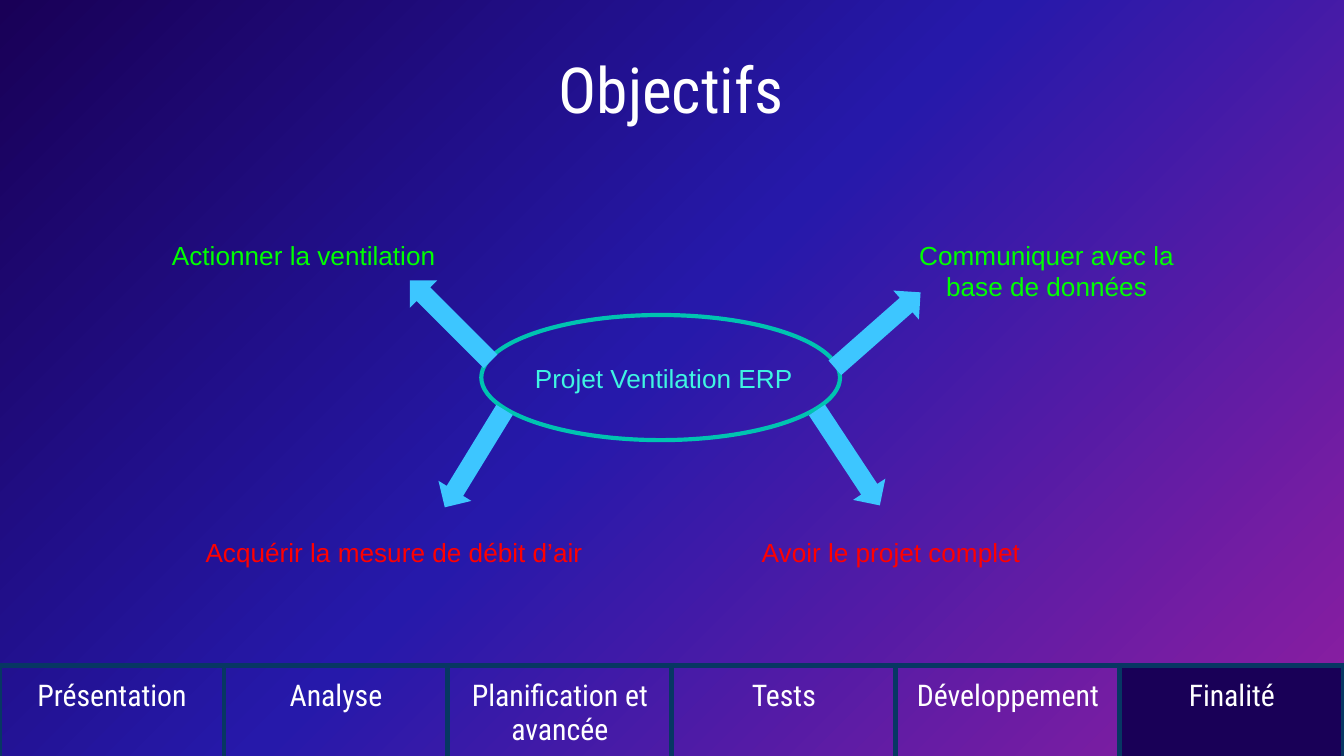
from copy import deepcopy

from lxml.etree import SubElement
from pptx import Presentation
from pptx.dml.color import RGBColor
from pptx.enum.shapes import MSO_SHAPE
from pptx.enum.text import MSO_ANCHOR, PP_ALIGN
from pptx.oxml.ns import qn
from pptx.util import Emu, Pt

PX = 5715
WIDE, HIGH = 1600, 900
PAD = 16
HEAD, BODY = "Roboto Condensed", "Arial"

NIGHT = RGBColor(0x19, 0x00, 0x57)
BLUE = RGBColor(0x26, 0x19, 0xAA)
PLUM = RGBColor(0x8F, 0x1E, 0xA0)
NAVY = RGBColor(0x07, 0x37, 0x63)
TEAL = RGBColor(0x00, 0xC3, 0xB1)
AQUA = RGBColor(0x3F, 0xF5, 0xE1)
SKY = RGBColor(0x3D, 0xC6, 0xFF)
GREEN = RGBColor(0x00, 0xFF, 0x00)
RED = RGBColor(0xFF, 0x00, 0x00)
WHITE = RGBColor(0xFF, 0xFF, 0xFF)

STEPS = ["Présentation", "Analyse", "Planification et avancée", "Tests",
         "Développement", "Finalité"]
GOALS = [
    ("Actionner la ventilation", 0, 0, 358, 70, GREEN, PP_ALIGN.LEFT),
    ("Communiquer avec la base de données", 878, 0, 358, 107, GREEN, PP_ALIGN.CENTER),
    ("Acquérir la mesure de débit d’air", 40, 353, 494, 70, RED, PP_ALIGN.LEFT),
    ("Avoir le projet complet", 702, 353, 358, 70, RED, PP_ALIGN.LEFT),
    ("Projet Ventilation ERP", 432, 146, 358, 70, AQUA, PP_ALIGN.LEFT),
]
ARROWS = [(324, 45, 315), (833, 56, 48.6), (353, 209, 211.5), (798, 208, 146.6)]


def px(*nums):
    return [Emu(num * PX) for num in nums]


def write(frame, text, size, face, color, align):
    frame.word_wrap = True
    frame.text = text
    frame.margin_left = frame.margin_right = Emu(PAD * PX)
    frame.margin_top = frame.margin_bottom = Emu(PAD * PX)
    style(frame.paragraphs[0], size, face, color, align)


def style(para, size, face, color, align):
    para.alignment = align
    font = para.runs[0].font
    font.size, font.name = Pt(size), face
    font.color.rgb = color


def paint(slide):
    fill = slide.background.fill
    fill.gradient()
    stops = next(slide.element.iter(qn("a:gsLst")))
    stops.append(deepcopy(stops[0]))
    tones = [(0, NIGHT), (0.48, BLUE), (1, PLUM)]
    for stop, (place, color) in zip(fill.gradient_stops, tones):
        stop.position = place
        stop.color.rgb = color
    fill.gradient_angle = 315


def add_title(slide, left, top, wide, high):
    title = slide.shapes.title
    title.left, title.top, title.width, title.height = px(left, top, wide, high)
    write(title.text_frame, "Objectifs", 34, HEAD, WHITE, PP_ALIGN.CENTER)
    title.text_frame.vertical_anchor = MSO_ANCHOR.TOP


def add_goals(slide, left, top):
    oval = slide.shapes.add_shape(MSO_SHAPE.OVAL, *px(left + 384, top + 106, 427, 149))
    oval.shadow.inherit = False
    oval.fill.background()
    oval.line.color.rgb = TEAL
    oval.line.width = Pt(2.25)
    for text, x, y, wide, high, color, align in GOALS:
        box = slide.shapes.add_textbox(*px(left + x, top + y, wide, high))
        write(box.text_frame, text, 14, BODY, color, align)
    for x, y, turn in ARROWS:
        arrow = slide.shapes.add_shape(MSO_SHAPE.UP_ARROW, *px(left + x, top + y, 46, 136))
        arrow.rotation = turn
        arrow.shadow.inherit = False
        arrow.fill.solid()
        arrow.fill.fore_color.rgb = SKY
        arrow.line.fill.background()


def edge(cell):
    props = cell._tc.get_or_add_tcPr()
    for side in ("lnL", "lnR", "lnT", "lnB"):
        line = SubElement(props, qn(f"a:{side}"), w=str(Pt(3)))
        fill = SubElement(line, qn("a:solidFill"))
        SubElement(fill, qn("a:srgbClr"), val=str(NAVY))


def add_steps(slide, left, top, wide, high):
    frame = slide.shapes.add_table(1, len(STEPS), *px(left, top, wide, high))
    table = frame.table
    table.first_row = table.horz_banding = False
    for col, text in enumerate(STEPS):
        table.columns[col].width = Emu(wide * PX // len(STEPS))
        cell = table.cell(0, col)
        cell.text = text
        cell.margin_left = cell.margin_right = Emu(PAD * PX)
        cell.margin_top = cell.margin_bottom = Emu(PAD * PX)
        style(cell.text_frame.paragraphs[0], 16, HEAD, WHITE, PP_ALIGN.CENTER)
        edge(cell)
        if col == len(STEPS) - 1:
            cell.fill.solid()
            cell.fill.fore_color.rgb = NIGHT
        else:
            cell.fill.background()


def main():
    deck = Presentation()
    deck.slide_width, deck.slide_height = px(WIDE, HIGH)
    slide = deck.slides.add_slide(deck.slide_layouts[5])
    paint(slide)
    add_title(slide, 283, 43, 1032, 123)
    add_goals(slide, 189, 269)
    add_steps(slide, 0, 792, WIDE, 128)
    deck.save("out.pptx")


if __name__ == "__main__":
    main()
